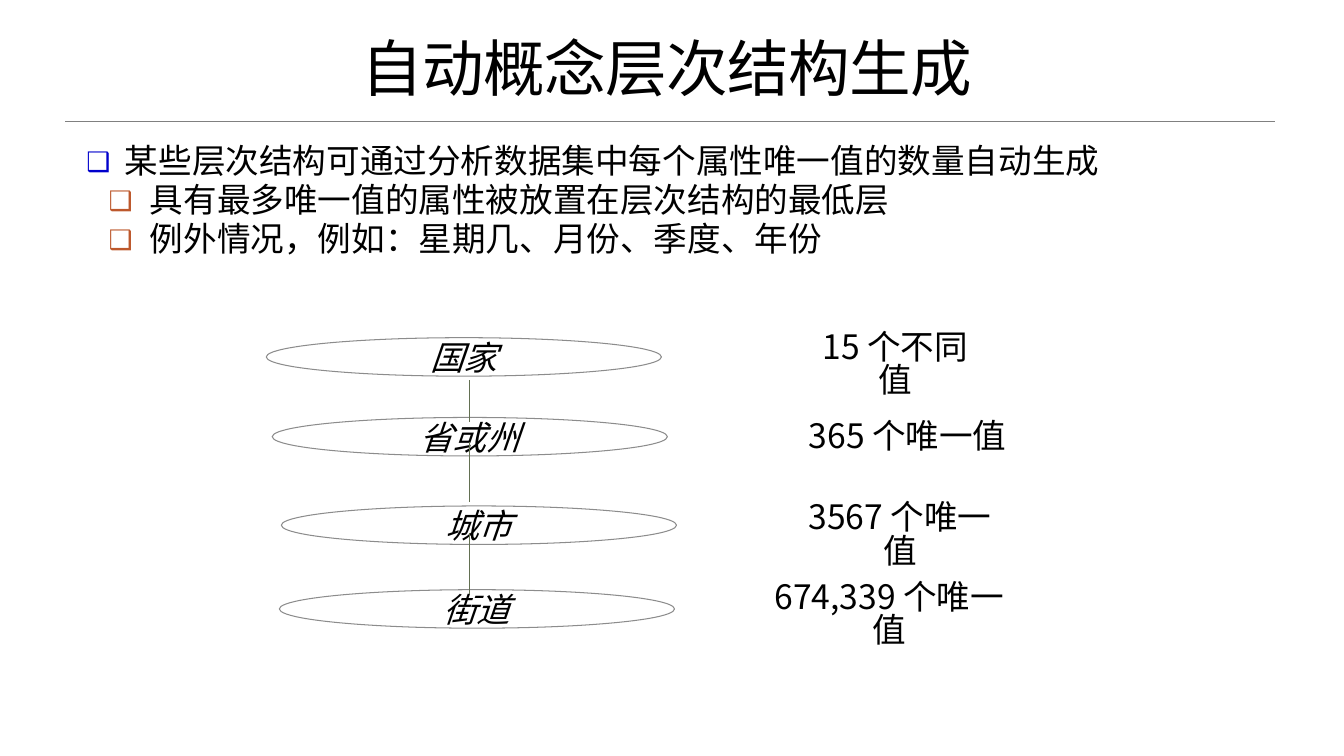
"""Slide on generating concept hierarchies automatically."""
from dataclasses import dataclass

from lxml.etree import SubElement as Sub
from pptx import Presentation
from pptx.dml.color import RGBColor as Rgb
from pptx.enum.shapes import MSO_CONNECTOR as Link, MSO_SHAPE as Form
from pptx.enum.text import MSO_ANCHOR as Anchor, PP_ALIGN as Align
from pptx.oxml.ns import qn
from pptx.util import Cm, Pt


@dataclass(frozen=True)
class Theme:
    font: str = "Noto Sans CJK SC"
    ink: str = "000000"
    rule: str = "808080"
    edge: str = "8C8C8C"
    stem: str = "637052"
    marks: tuple = ("0000CC", "BD582C")
    title: int = 44
    text: int = 24


theme = Theme()


def write(para, text, size, align=Align.CENTER, space=1.0):
    para.text = text
    para.alignment = align
    para.line_spacing = space
    font = para.font
    font.size = Pt(size)
    font.name = theme.font
    font.color.rgb = Rgb.from_string(theme.ink)
    Sub(font._rPr, qn("a:ea"), typeface=theme.font)


def draw(left, top, right, low, color, width):
    line = slide.shapes.add_connector(
        Link.STRAIGHT, Cm(left), Cm(top), Cm(right), Cm(low))
    line.line.color.rgb = Rgb.from_string(color)
    line.line.width = Pt(width)
    Sub(line._element.spPr, qn("a:effectLst"))


deck = Presentation()
deck.slide_width, deck.slide_height = Cm(33.87), Cm(19.05)
slide = deck.slides.add_slide(deck.slide_layouts[6])
shapes = slide.shapes

draw(1.65, 3.05, 32.13, 3.05, theme.rule, 0.5)

title = shapes.add_textbox(Cm(1.35), Cm(0.84), Cm(30.91), Cm(1.91)).text_frame
title.word_wrap = True
title.vertical_anchor = Anchor.BOTTOM
head = title.paragraphs[0]
write(head, "自动概念层次结构生成", theme.title, space=0.85)
head.font._rPr.set("spc", "-50")

body = shapes.add_textbox(Cm(1.93), Cm(3.61), Cm(29.64), Cm(6.35)).text_frame
body.word_wrap = True
points = [
    (0, "某些层次结构可通过分析数据集中每个属性唯一值的数量自动生成"),
    (1, "具有最多唯一值的属性被放置在层次结构的最低层"),
    (1, "例外情况，例如：星期几、月份、季度、年份"),
]
indents = [(0.97, -0.97), (1.6, -1.04)]
for row, (level, text) in enumerate(points):
    para = body.add_paragraph() if row else body.paragraphs[0]
    para.level = level
    if row:
        para.space_before = Pt(4.5)
    props = para._p.get_or_add_pPr()
    margin, hang = indents[level]
    props.set("marL", str(Cm(margin)))
    props.set("indent", str(Cm(hang)))
    Sub(Sub(props, qn("a:buClr")), qn("a:srgbClr"), val=theme.marks[level])
    Sub(props, qn("a:buSzPct"), val="80000")
    Sub(props, qn("a:buFont"), typeface=theme.font)
    Sub(props, qn("a:buChar"), char="❑")
    write(para, text, theme.text, Align.LEFT, 0.8)

levels = [
    ("国家", 6.71, 8.51),
    ("省或州", 6.86, 10.52),
    ("城市", 7.09, 12.75),
    ("街道", 7.04, 14.86),
]
for text, left, top in levels:
    oval = shapes.add_shape(Form.OVAL, Cm(left), Cm(top), Cm(9.96), Cm(0.97))
    oval.shadow.inherit = False
    oval.fill.background()
    oval.line.color.rgb = Rgb.from_string(theme.edge)
    oval.line.width = Pt(0.75)
    frame = oval.text_frame
    frame.word_wrap = False
    frame.vertical_anchor = Anchor.MIDDLE
    write(frame.paragraphs[0], text, theme.text)
    frame.paragraphs[0].font.italic = True

for top, low in [(9.58, 10.64), (11.15, 12.65), (13.44, 14.96)]:
    draw(11.84, top, 11.84, low, theme.stem, 0.75)

counts = [
    ("15 个不同值", 20.09, 8.26, 4.95),
    ("365 个唯一值", 19.41, 10.49, 6.93),
    ("3567 个唯一值", 19.81, 12.55, 5.74),
    ("674,339 个唯一值", 19.05, 14.55, 6.73),
]
for text, left, top, width in counts:
    frame = shapes.add_textbox(Cm(left), Cm(top), Cm(width), Cm(1.3)).text_frame
    frame.word_wrap = True
    write(frame.paragraphs[0], text, theme.text, space=0.83)

deck.save("out.pptx")
